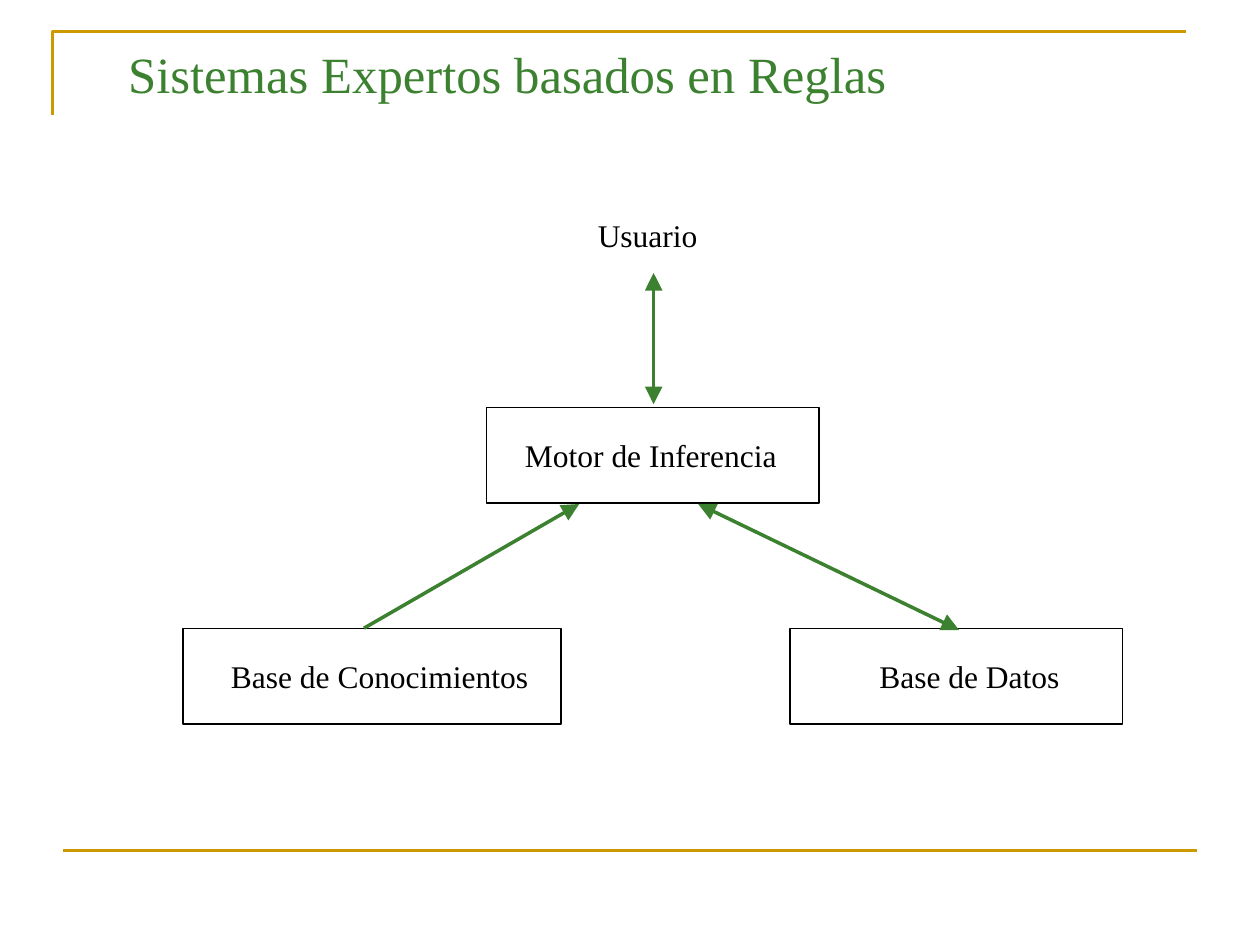
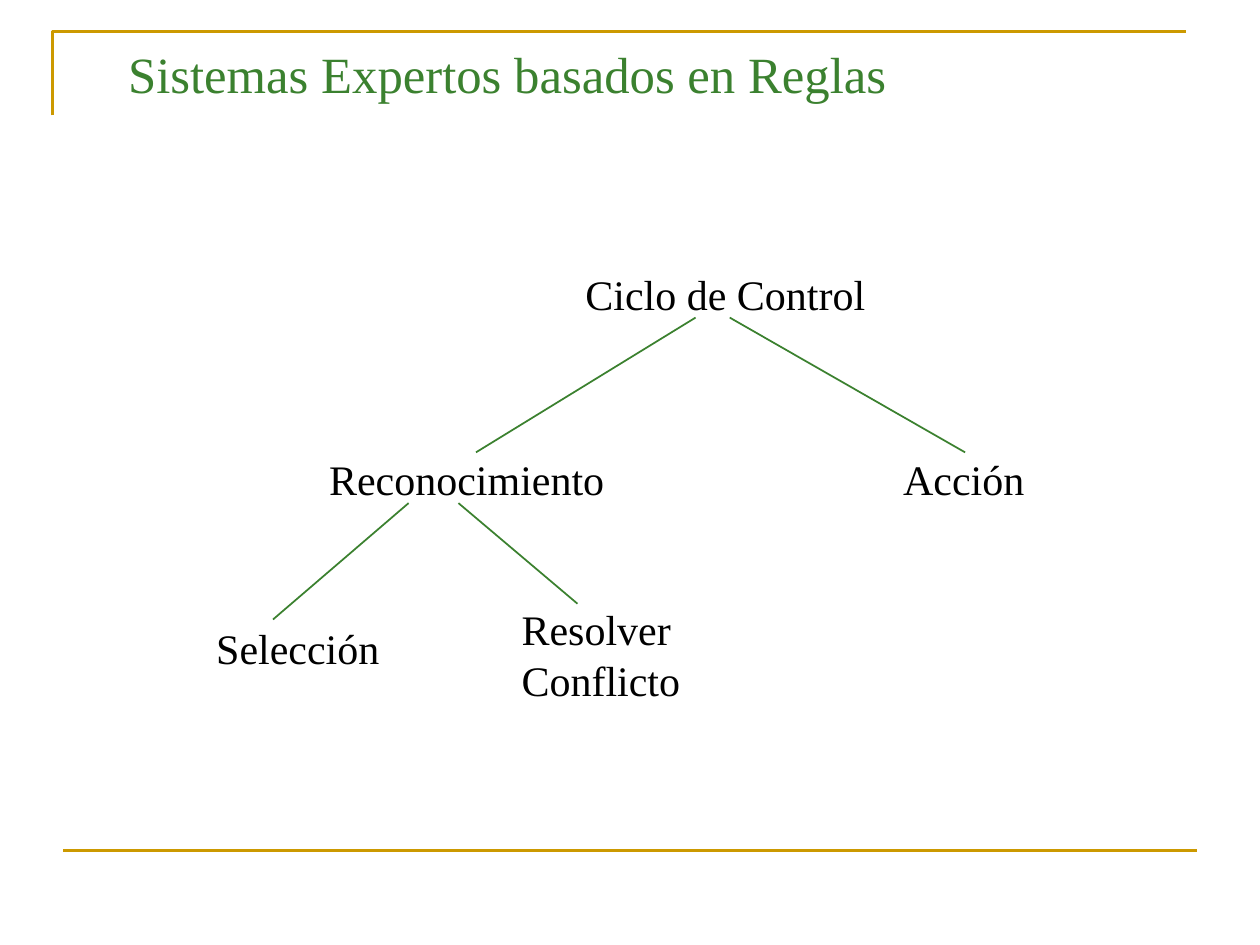
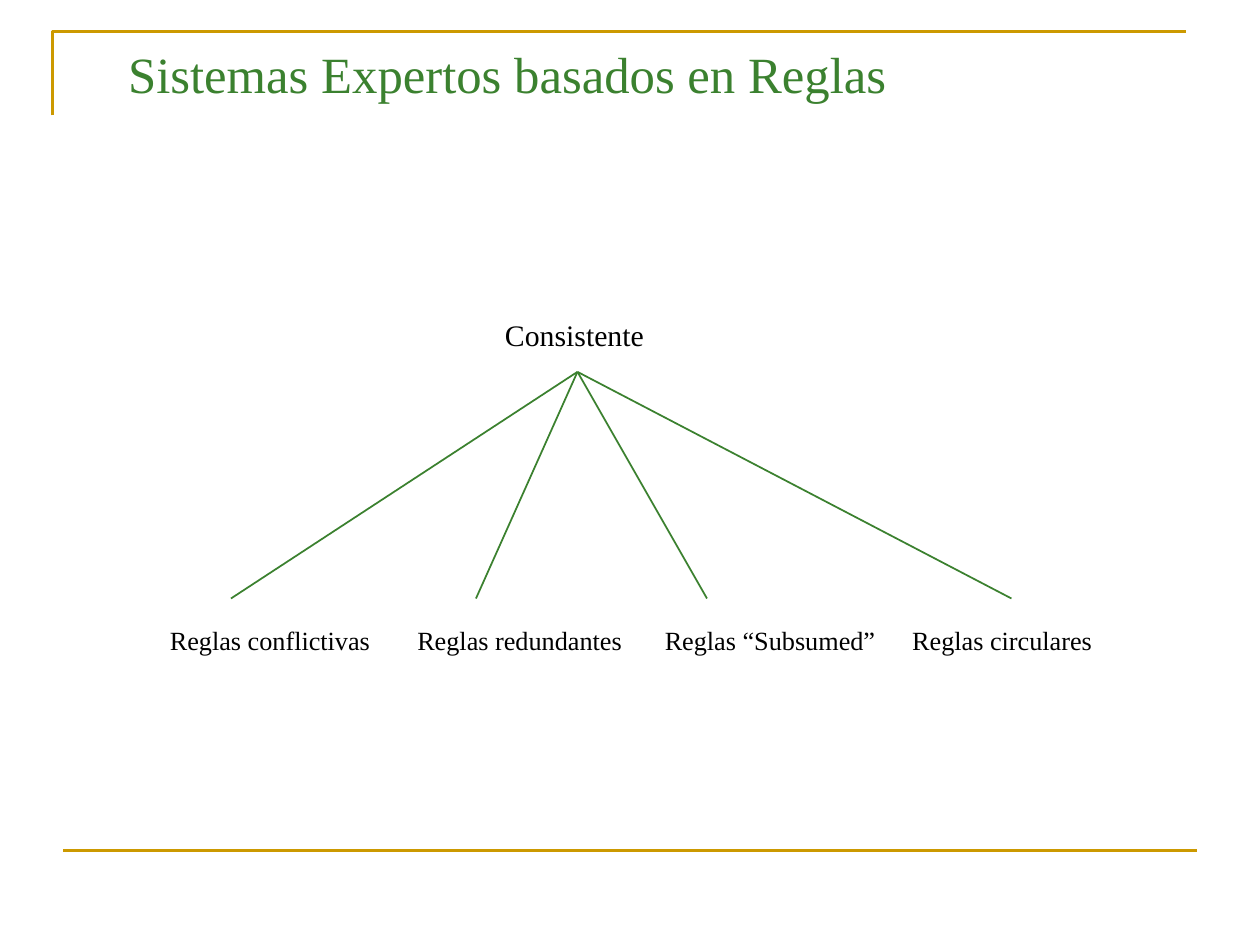
from dataclasses import dataclass

from lxml import etree
from pptx import Presentation
from pptx import util as u
from pptx.dml import color
from pptx.enum import shapes, text
from pptx.oxml import ns

Pt = u.Pt
Point = tuple[float, float]


@dataclass(frozen=True)
class Theme:
    font: str = "Times New Roman"
    green: color.RGBColor = color.RGBColor.from_string("3B812F")
    gold: color.RGBColor = color.RGBColor.from_string("CC9900")
    black: color.RGBColor = color.RGBColor.from_string("000000")
    white: color.RGBColor = color.RGBColor.from_string("FFFFFF")
    title_size: float = 29
    node_size: float = 24
    box_size: float = 18
    root_size: float = 17
    rule_size: float = 15
    band_width: float = 1.5
    arrow_width: float = 2
    branch_width: float = 1


@dataclass(frozen=True)
class Label:
    text: str
    left: float
    top: float
    width: float
    height: float
    size: float


@dataclass(frozen=True)
class Box:
    text: str
    left: float
    top: float
    width: float
    indent: float
    height: float = 54.5


@dataclass(frozen=True)
class Link:
    start: Point
    end: Point
    heads: tuple[str, ...] = ()


THEME = Theme()
TITLE = "Sistemas Expertos basados en Reglas"


def style_text(tf, size: float, rgb: color.RGBColor) -> None:
    for p in tf.paragraphs:
        p.alignment = text.PP_ALIGN.LEFT
        for r in p.runs:
            r.font.name = THEME.font
            r.font.size = Pt(size)
            r.font.color.rgb = rgb


def draw_line(s, link: Link, rgb: color.RGBColor, width: float) -> None:
    ends = [Pt(v) for v in (*link.start, *link.end)]
    sp = s.shapes.add_connector(shapes.MSO_CONNECTOR.STRAIGHT, *ends)
    sp.line.color.rgb = rgb
    sp.line.width = Pt(width)
    ln = sp.line._get_or_add_ln()
    for head in link.heads:
        etree.SubElement(ln, ns.qn(f"a:{head}"), type="triangle", w="lg", len="lg")
    etree.SubElement(sp._element.spPr, ns.qn("a:effectLst"))


def draw_label(s, label: Label) -> None:
    sp = s.shapes.add_textbox(
        Pt(label.left), Pt(label.top), Pt(label.width), Pt(label.height)
    )
    tf = sp.text_frame
    tf.word_wrap = True
    tf.margin_right = 0
    tf.text = label.text
    style_text(tf, label.size, THEME.black)


def draw_box(s, box: Box) -> None:
    sp = s.shapes.add_shape(
        shapes.MSO_SHAPE.RECTANGLE,
        Pt(box.left), Pt(box.top), Pt(box.width), Pt(box.height),
    )
    sp.shadow.inherit = False
    sp.fill.solid()
    sp.fill.fore_color.rgb = THEME.white
    sp.line.color.rgb = THEME.black
    sp.line.width = Pt(1)
    tf = sp.text_frame
    tf.margin_left, tf.margin_right = Pt(box.indent), 0
    tf.vertical_anchor = text.MSO_ANCHOR.MIDDLE
    tf.word_wrap = True
    tf.text = box.text
    style_text(tf, THEME.box_size, THEME.black)


def add_slide(prs):
    s = prs.slides.add_slide(prs.slide_layouts[5])
    builder = s.shapes.build_freeform(Pt(30), Pt(66))
    builder.add_line_segments([(Pt(30), Pt(18)), (Pt(678), Pt(18))], close=False)
    sp = builder.convert_to_shape()
    sp.shadow.inherit = False
    sp.fill.background()
    sp.line.color.rgb = THEME.gold
    sp.line.width = Pt(THEME.band_width)
    draw_line(s, Link((36, 486), (684, 486)), THEME.gold, THEME.band_width)

    title = s.shapes.title
    title.left, title.top, title.width, title.height = Pt(66), Pt(12), Pt(612), Pt(60)
    tf = title.text_frame
    tf.text = TITLE
    tf.auto_size = text.MSO_AUTO_SIZE.NONE
    tf.vertical_anchor = text.MSO_ANCHOR.MIDDLE
    style_text(tf, THEME.title_size, THEME.green)
    return s


def build_architecture(prs) -> None:
    s = add_slide(prs)
    for box in (
        Box("Motor de Inferencia", 278, 232.8, 190, 22),
        Box("Base de Conocimientos", 104.5, 359.2, 216, 27.5),
        Box("Base de Datos", 451.5, 359.2, 190, 51),
    ):
        draw_box(s, box)
    draw_label(s, Label("Usuario", 334.5, 120, 76, 29, THEME.box_size))
    both = ("headEnd", "tailEnd")
    for link in (
        Link((208, 359), (331, 288), ("tailEnd",)),
        Link((399, 288), (548, 360), both),
        Link((373.5, 156), (373.5, 231), both),
    ):
        draw_line(s, link, THEME.green, THEME.arrow_width)


def build_control_cycle(prs) -> None:
    s = add_slide(prs)
    size = THEME.node_size
    for label in (
        Label("Ciclo de Control", 327.5, 150, 180, 36, size),
        Label("Reconocimiento", 181, 255.5, 178, 36, size),
        Label("Acción", 509, 255.5, 90, 36, size),
        Label("Selección", 116.5, 352, 114, 36, size),
        Label("Resolver\nConflicto", 291, 341.5, 111, 66, size),
    ):
        draw_label(s, label)
    for link in (
        Link((397.5, 181.5), (272, 258.5)),
        Link((417, 181.5), (551.5, 258.5)),
        Link((233.5, 287.5), (156, 354)),
        Link((262, 287.5), (330, 345)),
    ):
        draw_line(s, link, THEME.green, THEME.branch_width)


def build_consistency(prs) -> None:
    s = add_slide(prs)
    draw_label(s, Label("Consistente", 281.5, 177.5, 100, 27.5, THEME.root_size))
    rules = (
        ("Reglas conflictivas", 132),
        ("Reglas redundantes", 272),
        ("Reglas “Subsumed”", 404),
        ("Reglas circulares", 578),
    )
    step = 141.4
    for i, (name, branch_x) in enumerate(rules):
        draw_label(s, Label(name, 90 + step * i, 353, step, 25, THEME.rule_size))
        link = Link((330, 212.5), (branch_x, 342))
        draw_line(s, link, THEME.green, THEME.branch_width)


def main() -> None:
    prs = Presentation()
    prs.slide_width, prs.slide_height = Pt(720), Pt(540)
    build_architecture(prs)
    build_control_cycle(prs)
    build_consistency(prs)
    prs.save("out.pptx")


if __name__ == "__main__":
    main()
